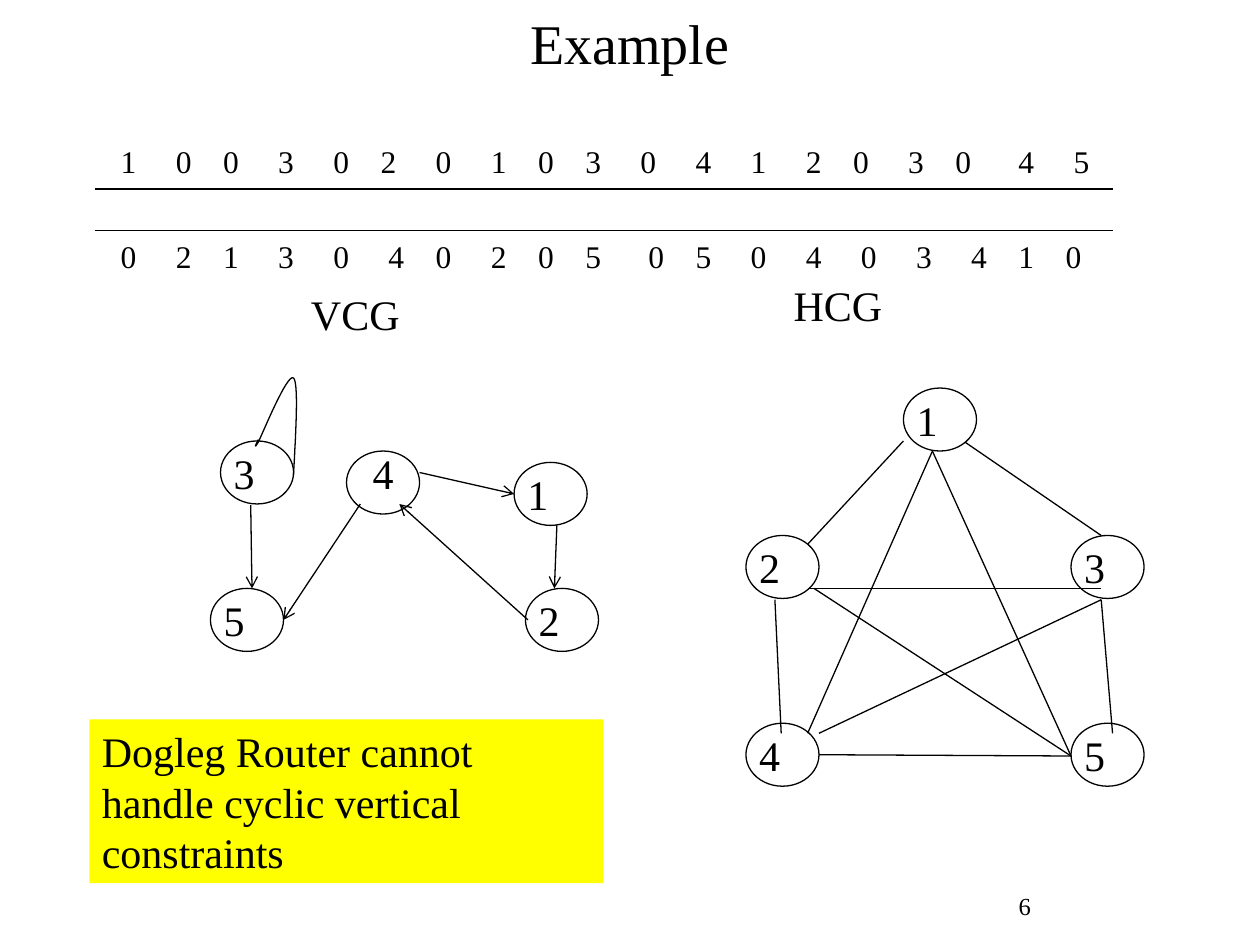
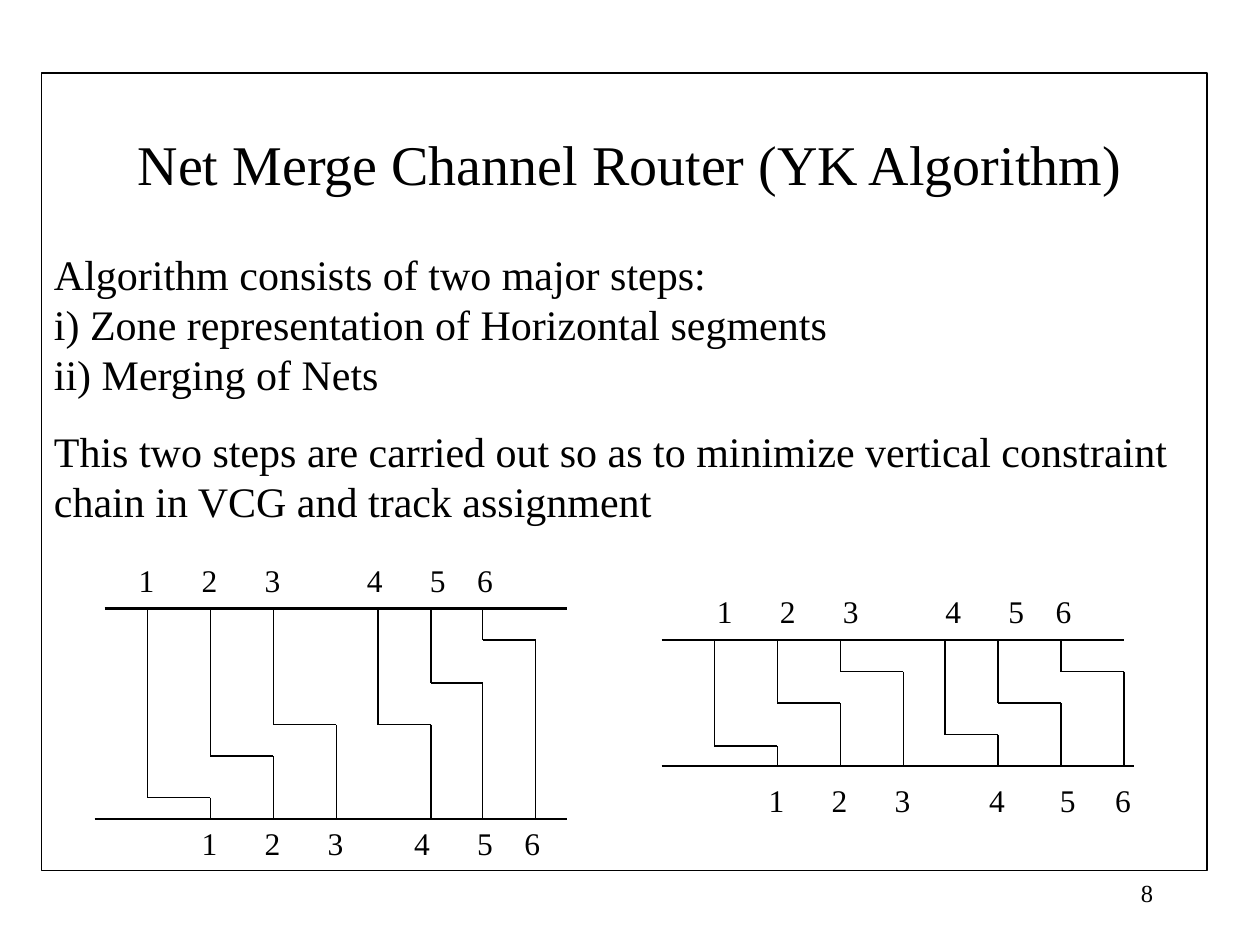
import dataclasses
import itertools

import pptx
import pptx.dml.color
import pptx.enum.shapes
import pptx.enum.text
import pptx.oxml.ns
import pptx.util
from lxml import etree

Inches = pptx.util.Inches
Pt = pptx.util.Pt
Align = pptx.enum.text.PP_ALIGN
Anchor = pptx.enum.text.MSO_ANCHOR
Shape = pptx.enum.shapes.MSO_SHAPE


@dataclasses.dataclass(frozen=True)
class Theme:
    font: str = "Times New Roman"
    ink: str = "000000"
    highlight: str = "FFFF00"
    title: float = 32
    body: float = 24
    pins: float = 18
    footer: float = 14
    thin: float = 0.75
    rail: float = 1.5


@dataclasses.dataclass(frozen=True)
class Box:
    left: float
    top: float
    width: float
    height: float

    def inner(self, left, top, width, height):
        return Box(self.left + left, self.top + top, width, height)

    def point(self, x, y):
        return self.left + x, self.top + y

    def lengths(self):
        return [Inches(value) for value in dataclasses.astuple(self)]


THEME = Theme()
NODE_SIZE = (0.58, 0.5)
DIGIT_WIDTH = 0.125
SPACE_WIDTH = 0.0625


def color(value):
    return pptx.dml.color.RGBColor.from_string(value)


def sub_element(parent, tag, **attributes):
    return etree.SubElement(parent, pptx.oxml.ns.qn(tag), attributes)


def set_outline(shape, width=THEME.thin):
    shape.line.color.rgb = color(THEME.ink)
    shape.line.width = Pt(width)


def add_tabs(para, stops):
    tab_list = sub_element(para._p.get_or_add_pPr(), "a:tabLst")
    for stop in stops:
        sub_element(tab_list, "a:tab", pos=str(int(Inches(stop))), algn="l")


def write_text(frame, text, size=THEME.body, align=Align.LEFT, anchor=Anchor.TOP,
               insets=(0.1, 0.05, 0.1, 0.05), stops=(), gaps=()):
    frame.word_wrap = True
    frame.vertical_anchor = anchor
    frame.margin_left, frame.margin_top, frame.margin_right, frame.margin_bottom = map(Inches, insets)
    for index, line in enumerate(text.split("\n")):
        para = frame.add_paragraph() if index else frame.paragraphs[0]
        para.alignment = align
        if index in gaps:
            para.space_before = Pt(gaps[index])
        if stops:
            add_tabs(para, stops)
        span = para.add_run()
        span.text = line
        span.font.name = THEME.font
        span.font.size = Pt(size)
        span.font.color.rgb = color(THEME.ink)


def add_text(page, box, text, fill=None, **text_format):
    shape = page.shapes.add_textbox(*box.lengths())
    if fill:
        shape.fill.solid()
        shape.fill.fore_color.rgb = color(fill)
    write_text(shape.text_frame, text, **text_format)


def add_outline_shape(page, kind, box):
    shape = page.shapes.add_shape(kind, *box.lengths())
    shape.shadow.inherit = False
    shape.fill.background()
    set_outline(shape)
    return shape


def add_line(page, start, end, width=THEME.thin, arrow=False):
    line = page.shapes.add_connector(
        pptx.enum.shapes.MSO_CONNECTOR.STRAIGHT, *map(Inches, (*start, *end)))
    set_outline(line, width)
    if arrow:
        sub_element(line.line._get_or_add_ln(), "a:tailEnd", type="arrow")
    sub_element(line._element.spPr, "a:effectLst")


def add_title(page, box, text):
    add_text(page, box, text, size=THEME.title, align=Align.CENTER, anchor=Anchor.MIDDLE)


def add_page_number(page, box, number):
    add_text(page, box, str(number), size=THEME.footer, align=Align.RIGHT)


def add_pins(page, box, pins, spaces, **text_format):
    steps = [DIGIT_WIDTH + SPACE_WIDTH * count for count in spaces]
    add_text(page, box, "\t".join(pins), size=THEME.pins,
             stops=list(itertools.accumulate(steps)), **text_format)


def draw_terminals(page, box):
    rows = [
        (0, "1003020103041203045", (5, 4, 5, 5, 4, 5, 5, 4, 4, 5, 5, 5, 5, 4, 5, 4, 6, 5)),
        (0.75, "0213040205050403410", (5, 4, 5, 5, 5, 4, 5, 4, 4, 6, 4, 5, 5, 5, 5, 5, 4, 4)),
    ]
    for top, pins, spaces in rows:
        add_pins(page, box.inner(0.11, top, 8.14, 0.4), pins, spaces)
    for y in (0.42, 0.75):
        add_line(page, box.point(0, y), box.point(box.width, y))


def draw_graph(page, box, name, name_at, nodes, edges, arrow=False, centred=""):
    add_text(page, box.inner(*name_at, 0.96, 0.5), name)
    for label, at in nodes.items():
        node = add_outline_shape(page, Shape.OVAL, box.inner(*at, *NODE_SIZE))
        raised = label in centred
        write_text(node.text_frame, label, anchor=Anchor.MIDDLE,
                   align=Align.CENTER if raised else Align.LEFT,
                   insets=(0, 0, 0, 0.16) if raised else (0.02, 0, 0, 0))
    for x1, y1, x2, y2 in edges:
        add_line(page, box.point(x1, y1), box.point(x2, y2), arrow=arrow)


def bezier(controls, steps=16):
    weights = (1, 3, 3, 1)
    for step in range(1, steps + 1):
        t = step / steps
        factors = [w * t ** i * (1 - t) ** (3 - i) for i, w in enumerate(weights)]
        yield tuple(sum(f * p[axis] for f, p in zip(factors, controls)) for axis in (0, 1))


def draw_self_loop(page, box):
    controls = [(0.83, 1.77), (0.85, 1.4), (0.87, 1.04), (0.83, 1), (0.78, 0.96),
                (0.59, 1.43), (0.55, 1.51), (0.5, 1.59), (0.55, 1.49), (0.55, 1.49)]
    points = [point for first in (0, 3, 6) for point in bezier(controls[first:first + 4])]
    builder = page.shapes.build_freeform(*map(Inches, box.point(*controls[0])))
    builder.add_line_segments(
        [tuple(map(Inches, box.point(*point))) for point in points], close=False)
    loop = builder.convert_to_shape()
    loop.shadow.inherit = False
    loop.fill.background()
    set_outline(loop)


def draw_vertical_graph(page, box):
    nodes = {"3": (0.25, 1.5), "1": (2.58, 1.67), "2": (2.67, 2.67),
             "5": (0.17, 2.67), "4": (1.25, 1.58)}
    edges = [(0.49, 2.01, 0.5, 2.67), (2.92, 2.17, 2.9, 2.67), (1.36, 2, 0.75, 2.92),
             (2.69, 2.92, 1.67, 2), (1.83, 1.75, 2.58, 1.92)]
    draw_graph(page, box, "VCG", (0.87, 0.24), nodes, edges, arrow=True, centred="4")
    draw_self_loop(page, box)


def draw_horizontal_graph(page, box):
    nodes = {"1": (1.67, 1.08), "2": (0.42, 2.25), "3": (3, 2.25),
             "4": (0.42, 3.74), "5": (3, 3.74)}
    edges = [(2.16, 1.51, 3.24, 2.25), (1.67, 1.5, 0.91, 2.32), (1.9, 1.58, 0.91, 3.82),
             (1.9, 1.58, 3, 4), (0.91, 2.67, 3.24, 2.67), (0.65, 2.76, 0.7, 3.82),
             (0.96, 2.67, 3, 4), (3.24, 2.76, 1, 3.82), (3.24, 2.76, 3.33, 3.82),
             (1, 3.99, 3, 4)]
    draw_graph(page, box, "HCG", (0.7, 0.17), nodes, edges)


def draw_channel(page, box, rails, nets, pin_rows):
    for x1, x2, y in rails:
        add_line(page, box.point(x1, y), box.point(x2, y), width=THEME.rail)
    top, bottom = (y for _, _, y in rails)
    for x1, x2, track in nets:
        corners = [(x1, top), (x1, track), (x2, track), (x2, bottom)]
        for start, end in zip(corners, corners[1:]):
            add_line(page, box.point(*start), box.point(*end))
    for left, y, spaces in pin_rows:
        add_pins(page, box.inner(left, y, 3.58, 0.5), "123456", spaces,
                 insets=(0.27, 0.12, 0.1, 0.05))


def build_example(page):
    add_title(page, Box(0.75, 0, 8.5, 0.67), "Example")
    draw_terminals(page, Box(0.75, 1.08, 8.08, 1.15))
    draw_vertical_graph(page, Box(1.5, 2, 3.25, 3.17))
    draw_horizontal_graph(page, Box(5.5, 2, 3.58, 4.24))
    add_text(page, Box(0.71, 5.71, 4.08, 1.3),
             "Dogleg Router cannot handle cyclic vertical constraints", fill=THEME.highlight)
    add_page_number(page, Box(6.2, 7.02, 2.08, 0.48), 6)


def build_net_merge(page):
    frame = Box(0.33, 0.58, 9.25, 6.33)
    add_title(page, Box(0.75, 0.67, 8.5, 1.25), "Net Merge Channel Router (YK Algorithm)")
    add_outline_shape(page, Shape.RECTANGLE, frame)
    add_text(page, frame.inner(0, 1.34, frame.width, 2.31),
             "Algorithm consists of two major steps:\n"
             "i) Zone representation of Horizontal segments\n"
             "ii) Merging of Nets\n"
             "This two steps are carried out so as to minimize vertical constraint "
             "chain in VCG and track assignment", gaps={3: 15})
    draw_channel(
        page, Box(0.75, 4.33, 3.75, 2.59),
        rails=[(0.08, 3.75, 0.5), (0, 3.75, 2.17)],
        nets=[(0.42, 0.92, 2), (0.92, 1.42, 1.67), (1.42, 1.92, 1.42),
              (2.25, 2.67, 1.42), (2.67, 3.08, 1.09), (3.08, 3.5, 0.75)],
        pin_rows=[(0.08, 0, (6, 6, 11, 6, 4)), (0.58, 2.09, (6, 6, 9, 6, 4))])
    draw_channel(
        page, Box(5.25, 4.58, 3.75, 2),
        rails=[(0, 3.67, 0.5), (0, 3.75, 1.5)],
        nets=[(0.42, 0.92, 1.34), (0.92, 1.42, 1), (1.42, 1.92, 0.75),
              (2.25, 2.67, 1.25), (2.67, 3.17, 1), (3.17, 3.67, 0.75)],
        pin_rows=[(0.17, 0, (6, 6, 11, 6, 4)), (0.58, 1.5, (6, 6, 10, 7, 5))])
    add_page_number(page, Box(7.17, 6.92, 2.08, 0.5), 8)


def main():
    deck = pptx.Presentation()
    deck.slide_width, deck.slide_height = Inches(10), Inches(7.5)
    for build in (build_example, build_net_merge):
        build(deck.slides.add_slide(deck.slide_layouts[6]))
    deck.save("out.pptx")


if __name__ == "__main__":
    main()
